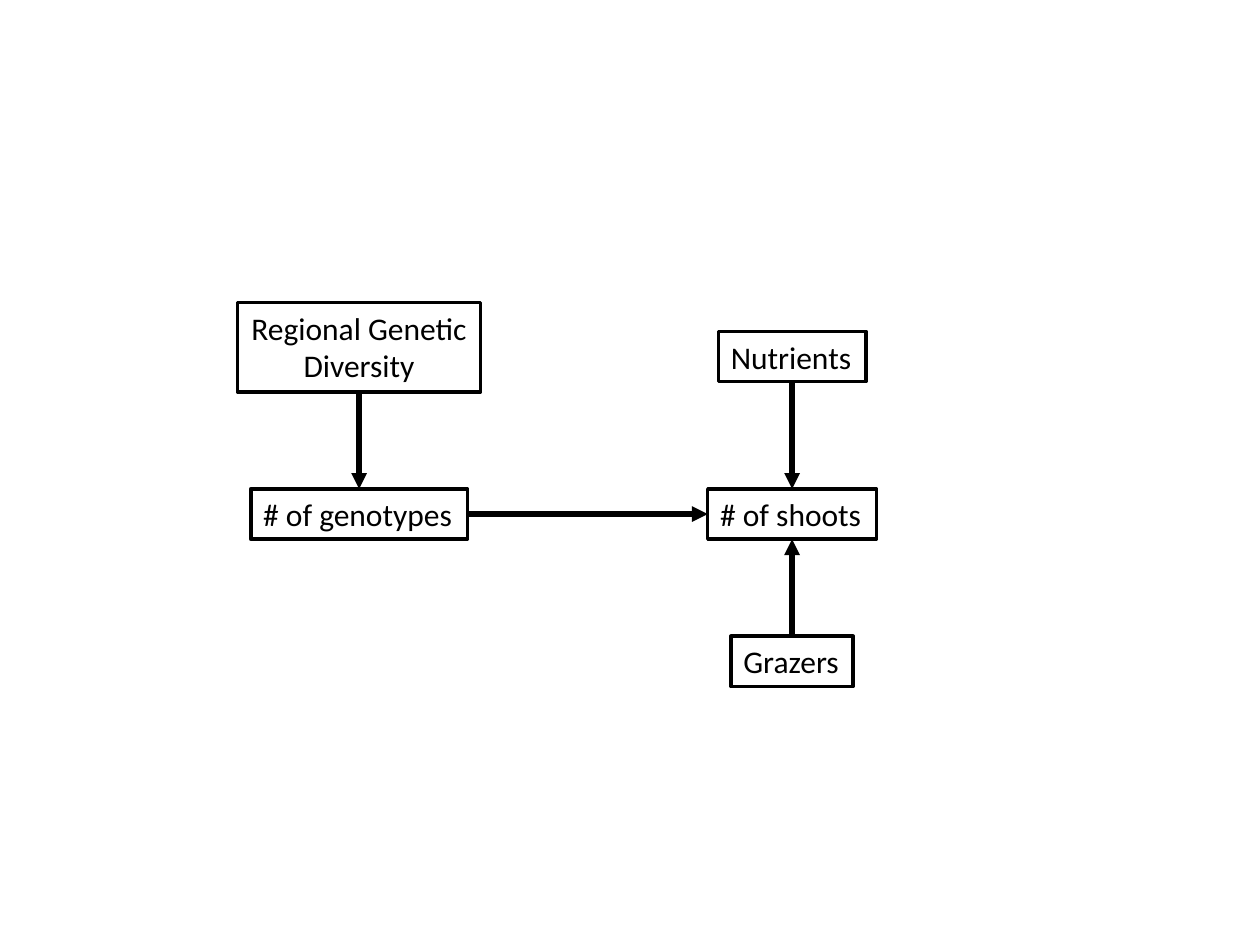
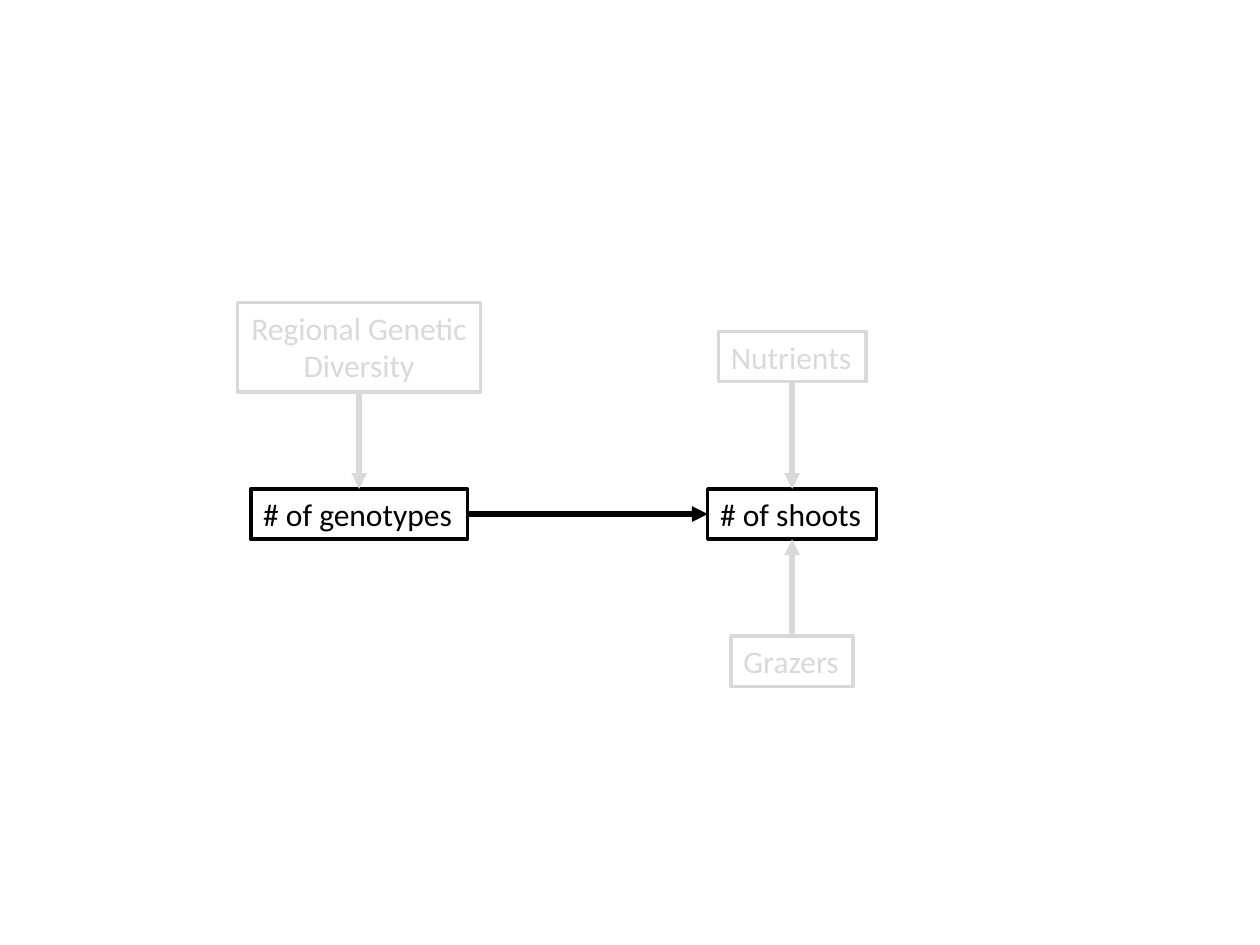
"""Build two path diagrams of what drives shoot numbers, the second with one path in focus."""
import dataclasses

import pptx
import pptx.dml.color
import pptx.dml.line
import pptx.enum.shapes
import pptx.enum.text
import pptx.oxml
import pptx.oxml.ns
import pptx.shapes.autoshape
import pptx.slide
import pptx.util

SLIDE_WIDTH = pptx.util.Inches(10)
SLIDE_HEIGHT = pptx.util.Inches(7.5)
COLUMNS, ROWS = 100, 75
GENETIC_COLUMN, SHOOT_COLUMN = 28.5, 62.87
RESPONSE_ROW = 38.8
INK, FADED = "000000", "D9D9D9"
TOP, LEFT, BOTTOM, RIGHT = range(4)
LABEL_FRAME = {
    "word_wrap": False,
    "auto_size": pptx.enum.text.MSO_AUTO_SIZE.SHAPE_TO_FIT_TEXT,
}
LABEL_FONT = {"name": "Calibri", "size": pptx.util.Pt(18)}


@dataclasses.dataclass(frozen=True)
class Factor:
    label: str
    centre: float
    top: float
    width: float
    height: float = 4
    align: pptx.enum.text.PP_ALIGN = pptx.enum.text.PP_ALIGN.LEFT


@dataclasses.dataclass(frozen=True)
class Effect:
    cause: str
    cause_side: int
    response: str
    response_side: int


FACTORS = {
    "genotypes": Factor("# of genotypes", GENETIC_COLUMN, RESPONSE_ROW, 17.2),
    "shoots": Factor("# of shoots", SHOOT_COLUMN, RESPONSE_ROW, 13.4),
    "nutrients": Factor("Nutrients", SHOOT_COLUMN, 26.3, 11.7),
    "grazers": Factor("Grazers", SHOOT_COLUMN, 50.5, 9.7),
    "diversity": Factor("Regional Genetic\nDiversity", GENETIC_COLUMN, 24, 19.3, 7.1,
                        pptx.enum.text.PP_ALIGN.CENTER),
}
EFFECTS = (
    Effect("genotypes", RIGHT, "shoots", LEFT),
    Effect("diversity", BOTTOM, "genotypes", TOP),
    Effect("nutrients", BOTTOM, "shoots", TOP),
    Effect("grazers", TOP, "shoots", BOTTOM),
)
FOCUSES = (frozenset(FACTORS), frozenset({"genotypes", "shoots"}))


def across(columns: float) -> int:
    """Turn grid columns into a length."""
    return round(SLIDE_WIDTH * columns / COLUMNS)


def down(rows: float) -> int:
    """Turn grid rows into a length."""
    return round(SLIDE_HEIGHT * rows / ROWS)


def colour(code: str) -> pptx.dml.color.RGBColor:
    """Turn a hex string into a colour."""
    return pptx.dml.color.RGBColor.from_string(code)


def apply(target: object, values: dict) -> None:
    """Set every format value on the target."""
    for attribute, value in values.items():
        setattr(target, attribute, value)


def stroke(line: pptx.dml.line.LineFormat, code: str, points: float) -> None:
    """Give a line its colour and width."""
    line.color.rgb = colour(code)
    line.width = pptx.util.Pt(points)


def draw_factor(slide: pptx.slide.Slide, factor: Factor, code: str) -> pptx.shapes.autoshape.Shape:
    """Draw a framed label centred on its column."""
    box = slide.shapes.add_textbox(
        across(factor.centre - factor.width / 2), down(factor.top),
        across(factor.width), down(factor.height))
    stroke(box.line, code, 2)
    apply(box.text_frame, LABEL_FRAME)
    box.text_frame.text = factor.label
    for paragraph in box.text_frame.paragraphs:
        paragraph.alignment = factor.align
        for run in paragraph.runs:
            apply(run.font, LABEL_FONT)
            run.font.color.rgb = colour(code)
    return box


def draw_effect(slide: pptx.slide.Slide, effect: Effect,
                boxes: dict[str, pptx.shapes.autoshape.Shape], code: str) -> None:
    """Draw an arrow from a cause to its response."""
    arrow = slide.shapes.add_connector(
        pptx.enum.shapes.MSO_CONNECTOR.STRAIGHT, 0, 0, 0, 0)
    arrow.begin_connect(boxes[effect.cause], effect.cause_side)
    arrow.end_connect(boxes[effect.response], effect.response_side)
    stroke(arrow.line, code, 3)
    properties = arrow.line._get_or_add_ln()
    properties.append(pptx.oxml.parse_xml(
        f'<a:tailEnd {pptx.oxml.ns.nsdecls("a")} type="triangle"/>'))
    properties.getparent().append(pptx.oxml.parse_xml(
        f'<a:effectLst {pptx.oxml.ns.nsdecls("a")}/>'))


def draw_diagram(slide: pptx.slide.Slide, focus: frozenset[str]) -> None:
    """Draw all factors and effects, fading those out of focus."""
    boxes = {key: draw_factor(slide, factor, INK if key in focus else FADED)
             for key, factor in FACTORS.items()}
    for effect in EFFECTS:
        in_focus = {effect.cause, effect.response} <= focus
        draw_effect(slide, effect, boxes, INK if in_focus else FADED)


def main() -> None:
    """Build and save the presentation."""
    deck = pptx.Presentation()
    apply(deck, {"slide_width": SLIDE_WIDTH, "slide_height": SLIDE_HEIGHT})
    blank = deck.slide_layouts.get_by_name("Blank")
    for focus in FOCUSES:
        draw_diagram(deck.slides.add_slide(blank), focus)
    deck.save("out.pptx")


if __name__ == "__main__":
    main()
